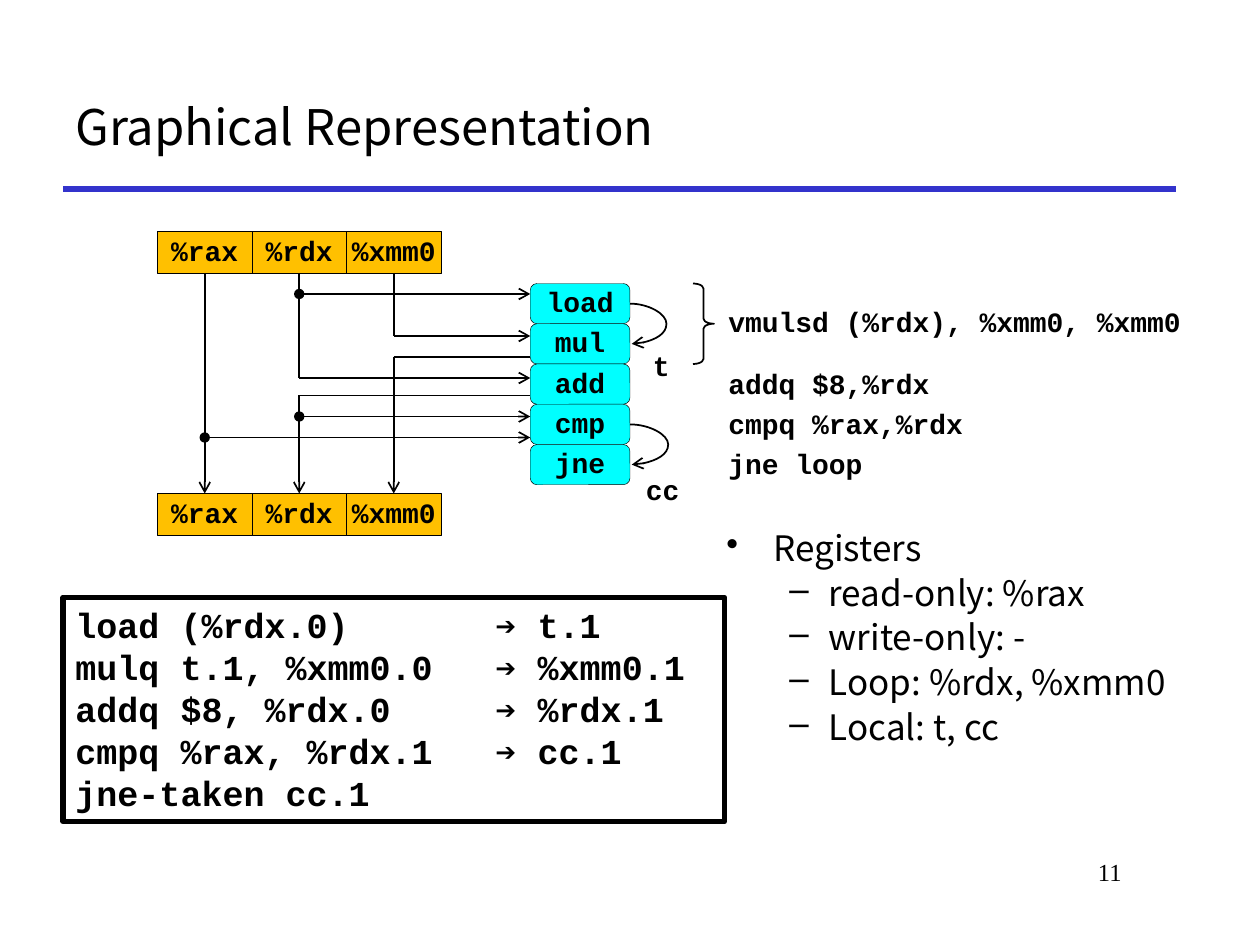
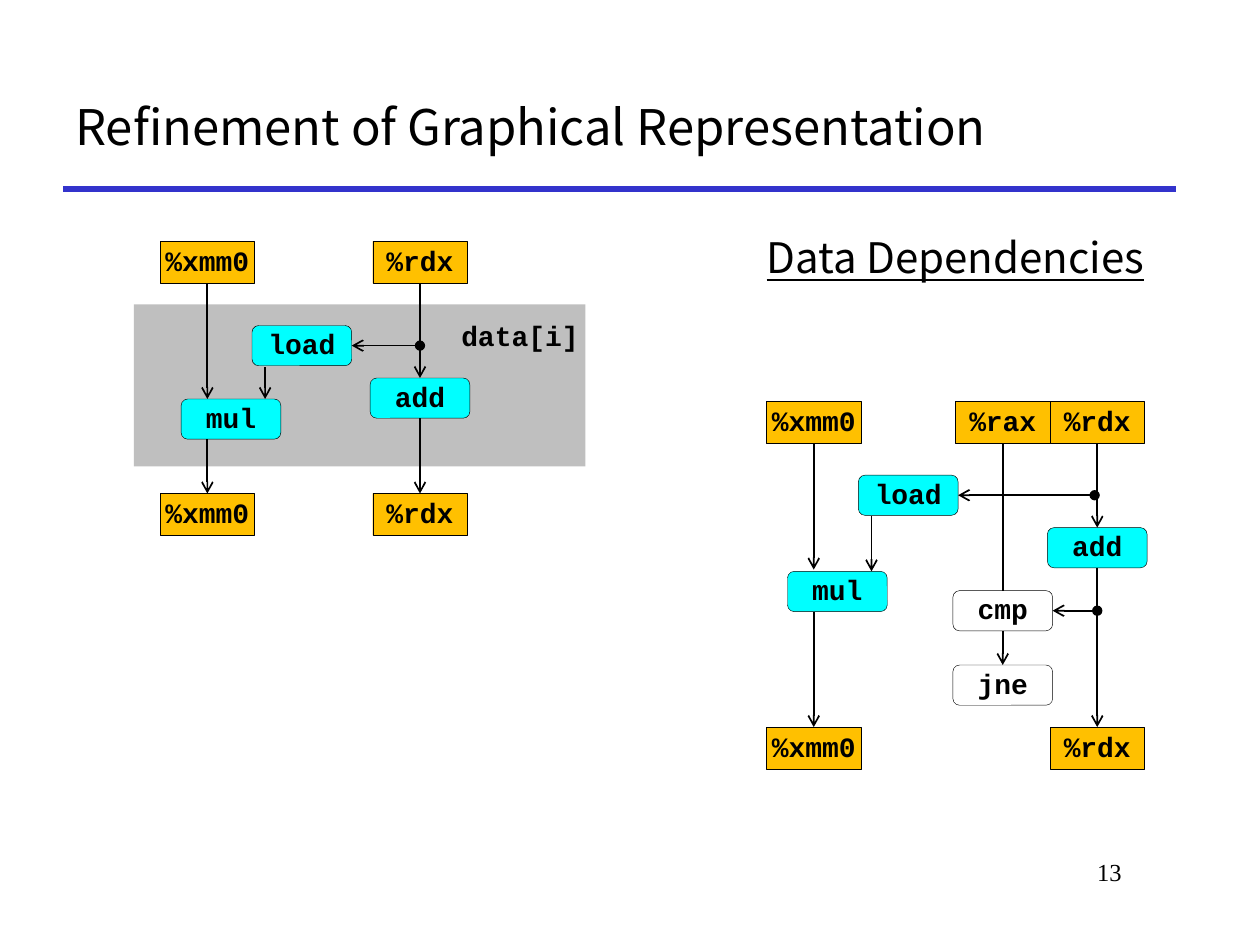
from lxml import etree
from pptx import Presentation
from pptx.dml.color import RGBColor
from pptx.enum.shapes import MSO_CONNECTOR, MSO_SHAPE
from pptx.enum.text import MSO_ANCHOR, PP_ALIGN
from pptx.oxml.ns import qn
from pptx.util import Pt

STRAIGHT, CURVE = MSO_CONNECTOR.STRAIGHT, MSO_CONNECTOR.CURVE
RECT, ROUND, BRACE = MSO_SHAPE.RECTANGLE, MSO_SHAPE.ROUNDED_RECTANGLE, MSO_SHAPE.RIGHT_BRACE
TOP, MIDDLE = MSO_ANCHOR.TOP, MSO_ANCHOR.MIDDLE
LEFT, CENTER, RIGHT = PP_ALIGN.LEFT, PP_ALIGN.CENTER, PP_ALIGN.RIGHT

COLORS = {"black": "000000", "white": "FFFFFF", "rule": "3333CC",
          "register": "FFC000", "operation": "00FFFF", "loop": "BFBFBF"}
SANS, MONO, SERIF = "Noto Sans CJK KR", "Courier New", "Times New Roman"
REG_W, REG_H = 54, 24
OP_W, OP_H = 57, 23

# Slide 1: registers above and below, operations stacked between them
REGISTERS = ["%rax", "%rdx", "%xmm0"]
REGISTERS_X, REGISTERS_Y = 90, (132, 282)
OPERATIONS = ["load", "mul", "add", "cmp", "jne"]
OPERATIONS_X, OPERATIONS_Y = 303, 162
INSTRUCTIONS = [("vmulsd (%rdx), %xmm0, %xmm0", 172.8, 288),
                ("addq $8,%rdx", 208, 198),
                ("cmpq %rax,%rdx", 231, 198),
                ("jne loop", 254, 198)]
# Wires: x1, y1, x2, y2, ends ("o" dot at the start, ">" arrow at the end)
WIRES = [(117, 156, 117, 282, ">"),
         (171, 156, 171, 216, ""), (171, 216, 303, 216, ">"),
         (171, 168, 303, 168, "o>"),
         (225, 156, 225, 192, ""), (225, 192, 303, 192, ">"),
         (225, 204, 303, 204, ""), (225, 204, 225, 282, ">"),
         (117, 250, 303, 250, "o>"),
         (171, 226, 303, 226, ""), (171, 226, 171, 282, ">"),
         (171, 238, 303, 238, "o>")]
# Values handed on: from operation, bulge, label, label place
HANDOVERS = [(0, 21, "t", (366, 198)), (3, 22, "cc", (362, 268.6))]
TRANSLATION = [("load (%rdx.0)", "t.1"),
               ("mulq t.1, %xmm0.0", "%xmm0.1"),
               ("addq $8, %rdx.0", "%rdx.1"),
               ("cmpq %rax, %rdx.1", "cc.1"),
               ("jne-taken cc.1", None)]
REGISTER_USE = ("Registers", ["read-only: %rax", "write-only: -",
                              "Loop: %rdx, %xmm0", "Local: t, cc"])

# Slide 2: two data-flow graphs
LOOP_GRAPH = {
    "registers": [("%xmm0", 91.5, 138), ("%rdx", 213, 138),
                  ("%xmm0", 91.5, 282), ("%rdx", 213, 282)],
    "operations": [("load", 144, 186), ("mul", 103.5, 228), ("add", 211.5, 216)],
    "control": [],
    "wires": [(118.5, 251, 118.5, 282, ">"), (240, 197.5, 201, 197.5, "o>"),
              (240, 162, 240, 216, ">"), (240, 239, 240, 282, ">"),
              (118.5, 162, 118.5, 228, ">"), (151.5, 210, 151.5, 228, ">")],
}
FULL_GRAPH = {
    "registers": [("%xmm0", 438, 229.5), ("%rax", 546, 229.5), ("%rdx", 600, 229.5),
                  ("%xmm0", 438, 415.5), ("%rdx", 600, 415.5)],
    "operations": [("load", 490.5, 271.5), ("mul", 450, 326.5), ("add", 598.5, 301.5)],
    "control": [("cmp", 544.5, 337.5), ("jne", 544.5, 380)],
    "wires": [(465, 349.5, 465, 415.5, ">"), (573, 253.5, 573, 337.5, ""),
              (627, 349, 601.5, 349, "o>"), (625.5, 283, 547.5, 283, "o>"),
              (627, 253.5, 627, 301.5, ">"), (627, 324.5, 627, 415.5, ">"),
              (573, 360.5, 573, 380, ">"), (465, 253.5, 465, 325.5, ">"),
              (498, 295, 498, 326.5, ">")],
}


def rgb(name):
    return RGBColor.from_string(COLORS[name])


def style(p, font=MONO, size=16, bold=True, spacing=0.9):
    p.line_spacing = spacing
    p.font.name, p.font.size, p.font.bold = font, Pt(size), bold
    p.font.color.rgb = rgb("black")


def add_text(slide, text, x, y, w, h, align=LEFT, anchor=TOP, wrap=True, **look):
    tf = slide.shapes.add_textbox(Pt(x), Pt(y), Pt(w), Pt(h)).text_frame
    tf.word_wrap, tf.vertical_anchor = wrap, anchor
    p = tf.paragraphs[0]
    p.text, p.alignment = text, align
    style(p, **look)
    return p


def add_shape(slide, kind, x, y, w, h, fill=None, line=None):
    sp = slide.shapes.add_shape(kind, Pt(x), Pt(y), Pt(w), Pt(h))
    sp.shadow.inherit = False
    if fill:
        sp.fill.solid()
        sp.fill.fore_color.rgb = rgb(fill)
    else:
        sp.fill.background()
    if line:
        sp.line.color.rgb = rgb("black")
        sp.line.width = Pt(line)
    else:
        sp.line.fill.background()
    return sp


def label(sp, text, align=CENTER, inset=0):
    tf = sp.text_frame
    tf.word_wrap, tf.vertical_anchor = True, MIDDLE
    tf.margin_left = tf.margin_right = Pt(inset)
    tf.margin_top = tf.margin_bottom = 0
    p = tf.paragraphs[0]
    p.text, p.alignment = text, align
    style(p)


def add_register(slide, name, x, y):
    sp = add_shape(slide, RECT, x, y, REG_W, REG_H, "register", 0.25)
    label(sp, name)
    return sp


def add_operation(slide, name, x, y, fill="operation"):
    sp = add_shape(slide, ROUND, x, y, OP_W, OP_H, fill, 0.25)
    label(sp, name)
    return sp


def add_line(slide, x1, y1, x2, y2, ends="", color="black", width=1, kind=STRAIGHT):
    c = slide.shapes.add_connector(kind, Pt(x1), Pt(y1), Pt(x2), Pt(y2))
    c.line.color.rgb = rgb(color)
    c.line.width = Pt(width)
    props = c._element.spPr
    ln = props.find(qn("a:ln"))
    for mark, tag, head in (("o", "a:headEnd", "oval"), (">", "a:tailEnd", "arrow")):
        if mark in ends:
            etree.SubElement(ln, qn(tag), type=head)
    etree.SubElement(props, qn("a:effectLst"))
    return c


def add_wires(slide, wires, boxes):
    """Draw the wires, joining each end that meets the middle of a box's side."""
    sites = {}
    for sp in boxes:
        x, y, w, h = sp.left, sp.top, sp.width, sp.height
        middles = [(x + w // 2, y), (x, y + h // 2), (x + w // 2, y + h), (x + w, y + h // 2)]
        sites.update({point: (sp, i) for i, point in enumerate(middles)})
    for x1, y1, x2, y2, ends in wires:
        c = add_line(slide, x1, y1, x2, y2, ends)
        for point, join in (((Pt(x1), Pt(y1)), c.begin_connect), ((Pt(x2), Pt(y2)), c.end_connect)):
            if point in sites:
                join(*sites[point])


def add_handover(slide, x, y, bulge):
    """Curve from the middle of one operation to the middle of the next."""
    c = add_line(slide, x, y, x + 1, y + OP_H, ">", kind=CURVE)
    geom = c._element.spPr.find(qn("a:prstGeom"))
    guides = geom.find(qn("a:avLst"))
    if guides is None:
        guides = etree.SubElement(geom, qn("a:avLst"))
    etree.SubElement(guides, qn("a:gd"), name="adj1", fmla=f"val {bulge * 100000}")


def add_translation(slide):
    tf = add_shape(slide, RECT, 36, 341.3, 378, 128.2, line=3).text_frame
    tf.word_wrap, tf.vertical_anchor = True, TOP
    for i, (code, result) in enumerate(TRANSLATION):
        p = tf.paragraphs[0] if i == 0 else tf.add_paragraph()
        p.alignment = LEFT
        tabs = etree.SubElement(p._p.get_or_add_pPr(), qn("a:tabLst"))
        etree.SubElement(tabs, qn("a:tab"), pos=str(Pt(240)), algn="l")
        style(p, size=20, spacing=1)
        if result is None:
            p.add_run().text = code
            continue
        for text, bold in ((code + "\t", True), ("➔", False), (" " + result, True)):
            r = p.add_run()
            r.text, r.font.bold = text, bold


def add_register_use(slide):
    heading, uses = REGISTER_USE
    tf = slide.shapes.add_textbox(Pt(408), Pt(300), Pt(288), Pt(180)).text_frame
    tf.word_wrap = True
    for i, text in enumerate([heading] + uses):
        p = tf.paragraphs[0] if i == 0 else tf.add_paragraph()
        p.text = text
        left, hang, bullet = (58.5, 22.5, "–") if i else (27, 27, "•")
        if i:
            p.level = 1
            p.space_before = Pt(4)
        props = p._p.get_or_add_pPr()
        props.set("marL", str(Pt(left)))
        props.set("indent", str(-Pt(hang)))
        etree.SubElement(props, qn("a:buChar"), char=bullet)
        style(p, SANS, 20, False)


def add_graph(slide, graph):
    boxes = [add_register(slide, *reg) for reg in graph["registers"]]
    boxes += [add_operation(slide, *op) for op in graph["operations"]]
    boxes += [add_operation(slide, *op, fill="white") for op in graph["control"]]
    add_wires(slide, graph["wires"], boxes)


def new_slide(prs, title, number):
    slide = prs.slides.add_slide(prs.slide_layouts[6])
    add_line(slide, 36, 108, 672, 108, color="rule", width=3)
    add_text(slide, str(number), 546, 486, 102, 36, RIGHT,
             font=SERIF, size=14, bold=False, spacing=1)
    add_text(slide, title, 36, 36, 636, 72, anchor=MIDDLE,
             font=SANS, size=28, bold=False, spacing=1)
    return slide


def representation_slide(prs):
    slide = new_slide(prs, "Graphical Representation", 11)
    for text, y, w in INSTRUCTIONS:
        label(add_shape(slide, ROUND, 408, y, w, 24), text, LEFT, 7.2)
    brace = add_shape(slide, BRACE, 396, OPERATIONS_Y, 12, 2 * OP_H, line=1)
    brace.adjustments[0] = 0.24
    add_translation(slide)
    add_register_use(slide)
    boxes = [add_register(slide, name, REGISTERS_X + i * REG_W, y)
             for y in REGISTERS_Y for i, name in enumerate(REGISTERS)]
    boxes += [add_operation(slide, name, OPERATIONS_X, OPERATIONS_Y + i * OP_H)
              for i, name in enumerate(OPERATIONS)]
    add_wires(slide, WIRES, boxes)
    for i, bulge, name, (x, y) in HANDOVERS:
        add_handover(slide, OPERATIONS_X + OP_W, OPERATIONS_Y + (i + 0.5) * OP_H, bulge)
        add_text(slide, name, x, y, 14.4 + 9.6 * len(name), 25, wrap=False)


def refinement_slide(prs):
    slide = new_slide(prs, "Refinement of Graphical Representation", 13)
    p = add_text(slide, "Data Dependencies", 402, 132, 288, 34, CENTER,
                 font=SANS, size=24, bold=False)
    p.font.underline = True
    add_shape(slide, RECT, 76.5, 174, 258, 92.5, "loop")
    add_graph(slide, LOOP_GRAPH)
    add_text(slide, "data[i]", 256.5, 180.7, 87, 24.5)
    add_graph(slide, FULL_GRAPH)


def main():
    prs = Presentation()
    prs.slide_width, prs.slide_height = Pt(720), Pt(540)
    representation_slide(prs)
    refinement_slide(prs)
    prs.save("out.pptx")


if __name__ == "__main__":
    main()
